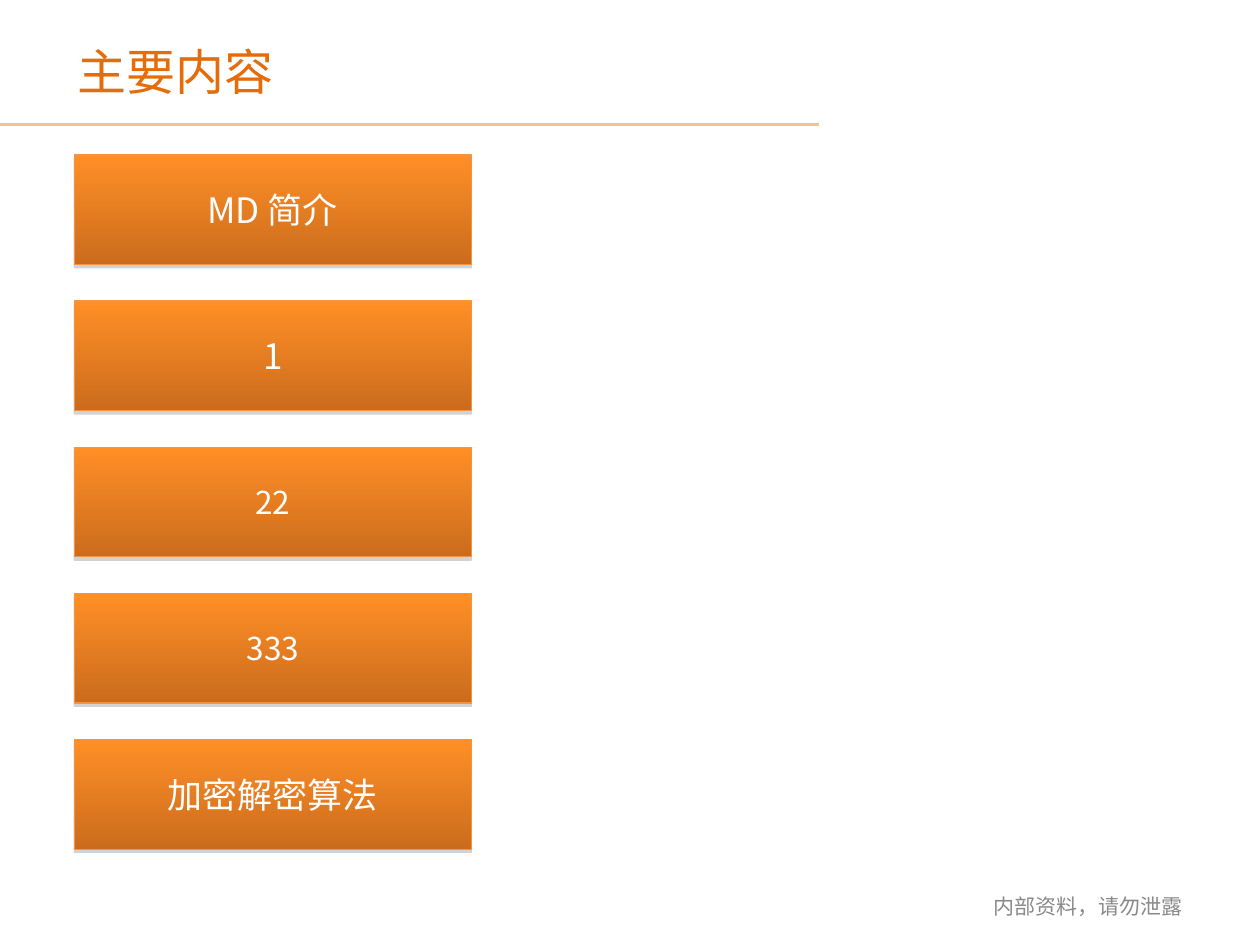
from lxml.etree import SubElement
from pptx import Presentation
from pptx.dml.color import RGBColor
from pptx.enum.shapes import MSO_CONNECTOR as Connector, MSO_SHAPE as Shape
from pptx.enum.text import MSO_ANCHOR as Anchor, MSO_AUTO_SIZE as AutoSize, PP_ALIGN as Align
from pptx.oxml.ns import qn
from pptx.util import Inches, Pt


def color(value):
    return RGBColor.from_string(value)


class AgendaSlide:
    font = "Noto Sans CJK SC"
    footer_font = "Calibri"
    title_color = "E46C0A"
    rule_color = "FAC090"
    footer_color = "898989"
    button_text = "FFFFFF"
    button_line = "F69240"
    button_gradient = ("FF8F26", "CB6C1D")
    shadow_color = "808080"

    def __init__(self, presentation):
        self.slide = presentation.slides.add_slide(presentation.slide_layouts[6])

    def add_text(self, shape, text, size, text_color, font):
        paragraph = shape.text_frame.paragraphs[0]
        paragraph.alignment = Align.CENTER
        run = paragraph.add_run()
        run.text = text
        run.font.size = Pt(size)
        run.font.color.rgb = color(text_color)
        run.font.name = font
        SubElement(run.font._element, qn("a:ea"), typeface=self.font)

    def rule(self, top, width):
        line = self.slide.shapes.add_connector(
            Connector.STRAIGHT, 0, Inches(top), Inches(width), Inches(top))
        line.line.color.rgb = color(self.rule_color)
        line.line.width = Pt(2)
        SubElement(line._element.spPr, qn("a:effectLst"))

    def title(self, text, left, top, width, height):
        box = self.slide.shapes.add_textbox(
            Inches(left), Inches(top), Inches(width), Inches(height))
        box.text_frame.word_wrap = False
        box.text_frame.auto_size = AutoSize.SHAPE_TO_FIT_TEXT
        self.add_text(box, text, 28, self.title_color, self.font)

    def footer(self, text, left, top, width, height):
        box = self.slide.shapes.add_textbox(
            Inches(left), Inches(top), Inches(width), Inches(height))
        box.text_frame.word_wrap = True
        box.text_frame.vertical_anchor = Anchor.MIDDLE
        self.add_text(box, text, 12, self.footer_color, self.footer_font)

    def button(self, text, size, left, top, width, height):
        shape = self.slide.shapes.add_shape(
            Shape.RECTANGLE, Inches(left), Inches(top), Inches(width), Inches(height))
        shape.fill.gradient()
        shape.fill.gradient_angle = 270
        for stop, value, position in zip(shape.fill.gradient_stops, self.button_gradient, (0, 1)):
            stop.color.rgb = color(value)
            stop.position = position
        shape.line.color.rgb = color(self.button_line)
        shape.line.width = Pt(0.75)
        self.drop_shadow(shape)
        shape.text_frame.vertical_anchor = Anchor.MIDDLE
        self.add_text(shape, text, size, self.button_text, self.font)

    def drop_shadow(self, shape):
        shape.shadow.inherit = False
        effects = shape._element.spPr.find(qn("a:effectLst"))
        shadow = SubElement(effects, qn("a:outerShdw"), blurRad="0",
                            dist=str(Pt(1.8)), dir="5400000", rotWithShape="0")
        tint = SubElement(shadow, qn("a:srgbClr"), val=self.shadow_color)
        SubElement(tint, qn("a:alpha"), val="35000")


def main():
    presentation = Presentation()
    presentation.slide_width = Inches(10)
    presentation.slide_height = Inches(7.5)
    agenda = AgendaSlide(presentation)
    agenda.rule(0.99, 6.5)
    agenda.title("主要内容", 0.52, 0.28, 1.75, 0.57)
    topics = [("MD 简介", 20), ("1", 20), ("22", 18), ("333", 18), ("加密解密算法", 20)]
    for index, (text, size) in enumerate(topics):
        agenda.button(text, size, 0.59, 1.23 + 1.16 * index, 3.15, 0.87)
    agenda.footer("内部资料，请勿泄露", 7.76, 6.99, 1.75, 0.4)
    presentation.save("out.pptx")


if __name__ == "__main__":
    main()
